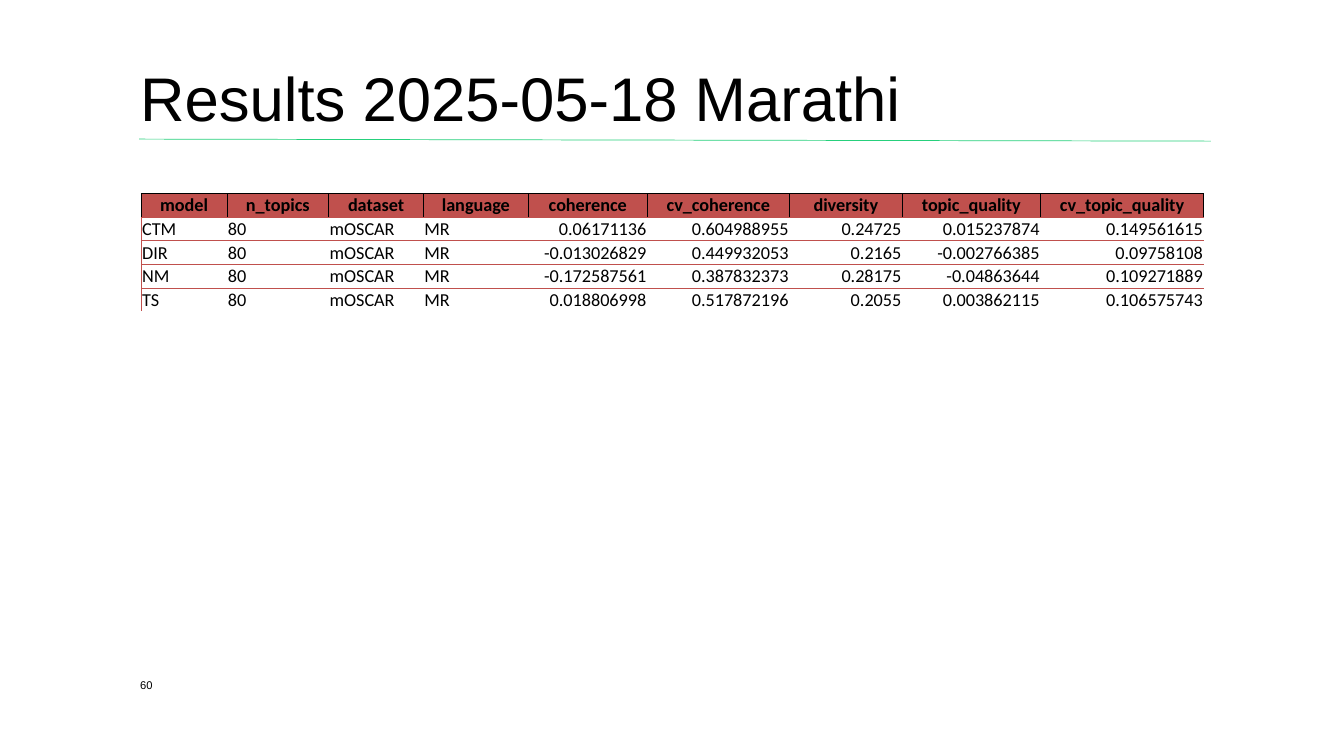
from dataclasses import dataclass

from lxml.etree import SubElement
from pptx import Presentation
from pptx.dml.color import RGBColor
from pptx.enum.shapes import MSO_CONNECTOR
from pptx.enum.text import MSO_ANCHOR as Anchor, MSO_AUTO_SIZE as AutoSize, PP_ALIGN as Align
from pptx.oxml import parse_xml
from pptx.oxml.ns import nsdecls, qn
from pptx.util import Inches, Pt

BLACK = RGBColor(0x00, 0x00, 0x00)
GREEN = RGBColor(0x26, 0xD0, 0x7C)
RED = RGBColor(0xC0, 0x50, 0x4D)
PLAIN_TABLE = "{2D5ABB26-0587-4C30-8999-92F81FD0307C}"
FLUSH = dict(margin_left=0, margin_right=0, margin_top=0, margin_bottom=0)
FRAME = FLUSH | dict(word_wrap=True, auto_size=AutoSize.NONE, vertical_anchor=Anchor.BOTTOM)
CELL = dict(margin_left=Inches(0.01), margin_right=Inches(0.01),
            margin_top=Inches(0.01), margin_bottom=0)


@dataclass
class Column:
    heading: str
    width: float
    align: Align
    values: list[str]


COLUMNS = [
    Column("model", 0.85, Align.LEFT, ["CTM", "DIR", "NM", "TS"]),
    Column("n_topics", 1.01, Align.LEFT, ["80"] * 4),
    Column("dataset", 0.94, Align.LEFT, ["mOSCAR"] * 4),
    Column("language", 1.04, Align.LEFT, ["MR"] * 4),
    Column("coherence", 1.18, Align.RIGHT,
           ["0.06171136", "-0.013026829", "-0.172587561", "0.018806998"]),
    Column("cv_coherence", 1.41, Align.RIGHT,
           ["0.604988955", "0.449932053", "0.387832373", "0.517872196"]),
    Column("diversity", 1.12, Align.RIGHT, ["0.24725", "0.2165", "0.28175", "0.2055"]),
    Column("topic_quality", 1.37, Align.RIGHT,
           ["0.015237874", "-0.002766385", "-0.04863644", "0.003862115"]),
    Column("cv_topic_quality", 1.62, Align.RIGHT,
           ["0.149561615", "0.09758108", "0.109271889", "0.106575743"]),
]


def apply(target, formats: dict) -> None:
    for name, value in formats.items():
        setattr(target, name, value)


def write(paragraph, text: str, size: float, font: str = "Arial",
          bold: bool = False, align: Align = Align.LEFT) -> None:
    paragraph.alignment = align
    run = paragraph.add_run()
    run.text = text
    apply(run.font, dict(size=Pt(size), name=font, bold=bold))
    run.font.color.rgb = BLACK


def set_borders(cell, borders: dict[str, RGBColor]) -> None:
    properties = cell._tc.get_or_add_tcPr()
    sides = [side for side in "LRTB" if side in borders]
    for position, side in enumerate(sides):
        properties.insert(position, parse_xml(
            f'<a:ln{side} {nsdecls("a")} w="{Pt(0.5)}"><a:solidFill>'
            f'<a:srgbClr val="{borders[side]}"/></a:solidFill></a:ln{side}>'))


def add_results(slide, columns: list[Column]) -> None:
    row_count = len(columns[0].values) + 1
    width = sum(column.width for column in columns)
    results = slide.shapes.add_table(row_count, len(columns), Inches(1.4), Inches(1.92),
                                     Inches(width), Inches(1.17)).table
    apply(results, dict(first_row=False, horz_banding=False))
    results._tbl.tblPr.find(qn("a:tableStyleId")).text = PLAIN_TABLE
    for c, column in enumerate(columns):
        results.columns[c].width = Inches(column.width)
        for r, text in enumerate([column.heading, *column.values]):
            cell = results.cell(r, c)
            heading = r == 0
            apply(cell, CELL | dict(vertical_anchor=Anchor.TOP if heading else Anchor.BOTTOM))
            write(cell.text_frame.paragraphs[0], text, 13, "Calibri", heading,
                  Align.CENTER if heading else column.align)
            if heading:
                cell.fill.solid()
                cell.fill.fore_color.rgb = RED
                borders = dict(L=BLACK, R=BLACK, T=BLACK, B=RED)
            else:
                cell.fill.background()
                borders = dict(T=RED)
                if r < row_count - 1:
                    borders["B"] = RED
                if c == 0:
                    borders["L"] = RED
            set_borders(cell, borders)


def add_title(slide, text: str) -> None:
    title = slide.shapes.title
    apply(title, dict(left=Inches(1.39), top=Inches(0.4),
                      width=Inches(10.62), height=Inches(0.94)))
    apply(title.text_frame, FRAME)
    heading = title.text_frame.paragraphs[0]
    heading.line_spacing = 0.9
    write(heading, text, 44)


def add_title_rule(slide) -> None:
    rule = slide.shapes.add_connector(MSO_CONNECTOR.STRAIGHT, Inches(1.38), Inches(1.38),
                                      Inches(12.01), Inches(1.4))
    rule.line.color.rgb = GREEN
    rule.line.width = Pt(0.5)
    SubElement(rule._element.spPr, qn("a:effectLst"))


def add_page_number(slide, number: str) -> None:
    page_number = slide.shapes.add_textbox(Inches(1.39), Inches(6.6), Inches(0.5), Inches(0.26))
    apply(page_number.text_frame, FRAME)
    write(page_number.text_frame.paragraphs[0], number, 8)


def main() -> None:
    deck = Presentation()
    apply(deck, dict(slide_width=Inches(13.33), slide_height=Inches(7.5)))
    slide = deck.slides.add_slide(deck.slide_layouts.get_by_name("Title Only"))
    add_title_rule(slide)
    add_title(slide, "Results 2025-05-18 Marathi")
    add_page_number(slide, "60")
    add_results(slide, COLUMNS)
    deck.save("out.pptx")


if __name__ == "__main__":
    main()
